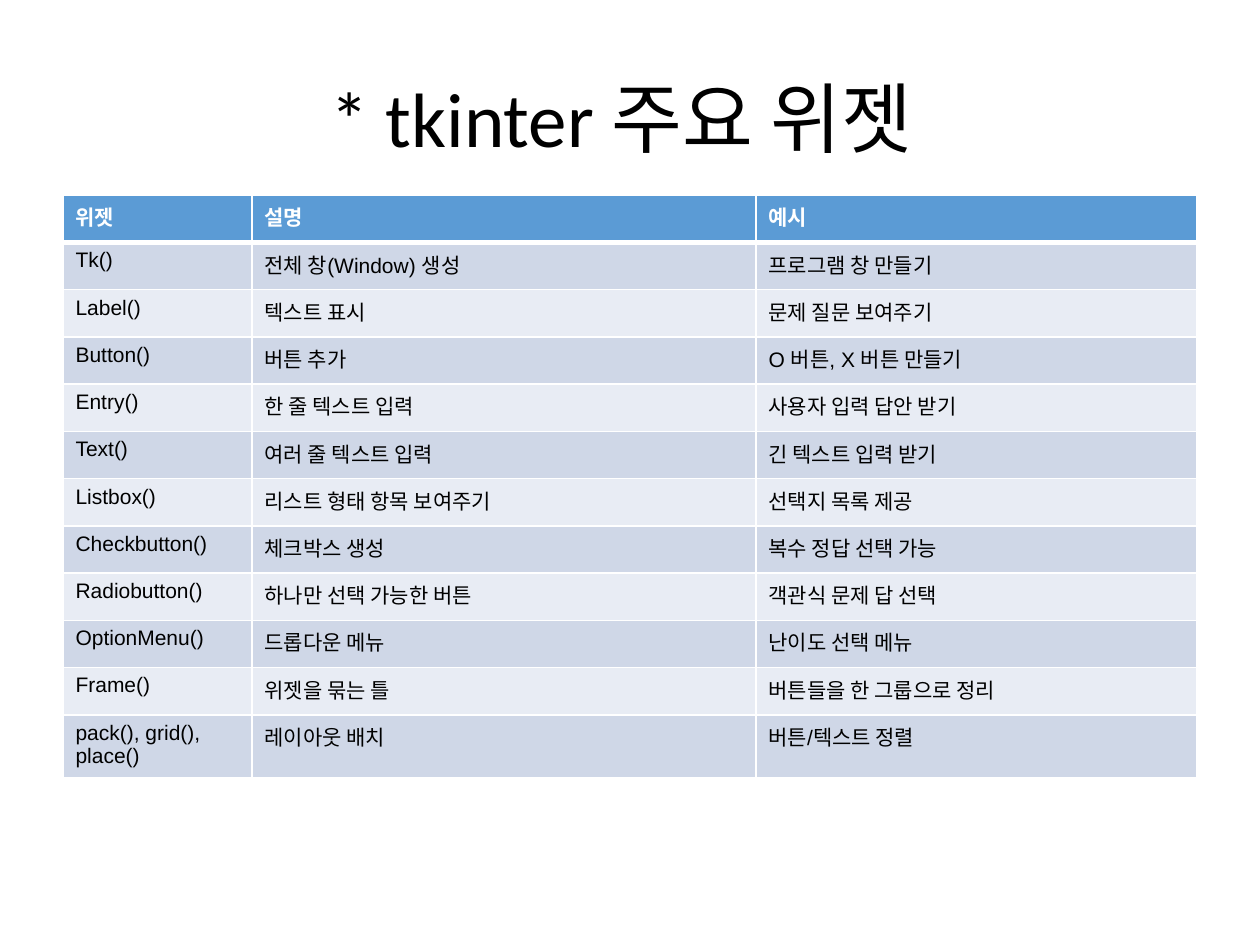
from lxml.etree import SubElement
from pptx import Presentation
from pptx.dml.color import RGBColor
from pptx.enum.text import MSO_ANCHOR as Anchor, PP_ALIGN as Align
from pptx.oxml.ns import qn
from pptx.util import Inches, Pt

COLORS = {"text": "000000", "light": "FFFFFF", "header": "5B9BD5",
          "odd": "CFD7E7", "even": "E8ECF4"}

WIDGETS = [
    ("위젯", "설명", "예시"),
    ("Tk()", "전체 창(Window) 생성", "프로그램 창 만들기"),
    ("Label()", "텍스트 표시", "문제 질문 보여주기"),
    ("Button()", "버튼 추가", "O 버튼, X 버튼 만들기"),
    ("Entry()", "한 줄 텍스트 입력", "사용자 입력 답안 받기"),
    ("Text()", "여러 줄 텍스트 입력", "긴 텍스트 입력 받기"),
    ("Listbox()", "리스트 형태 항목 보여주기", "선택지 목록 제공"),
    ("Checkbutton()", "체크박스 생성", "복수 정답 선택 가능"),
    ("Radiobutton()", "하나만 선택 가능한 버튼", "객관식 문제 답 선택"),
    ("OptionMenu()", "드롭다운 메뉴", "난이도 선택 메뉴"),
    ("Frame()", "위젯을 묶는 틀", "버튼들을 한 그룹으로 정리"),
    ("pack(), grid(), place()", "레이아웃 배치", "버튼/텍스트 정렬"),
]


class SlideBuilder:
    """Holds the style and the current slide, and adds each kind of element."""

    def __init__(self, slide, colors):
        self.slide = slide
        self.colors = colors

    def color(self, key):
        return RGBColor.from_string(self.colors[key])

    def run(self, paragraph, text, font, size, color="text", bold=False):
        run = paragraph.add_run()
        run.text = text
        run.font.name = font
        run.font.size = Pt(size)
        run.font.bold = bold
        run.font.color.rgb = self.color(color)

    def title(self, text, left, top, width, height):
        frame = self.slide.shapes.add_textbox(left, top, width, height).text_frame
        frame.word_wrap = True
        frame.vertical_anchor = Anchor.MIDDLE
        heading = frame.paragraphs[0]
        heading.alignment = Align.CENTER
        self.run(heading, text, "Calibri", 44)

    def borders(self, cell, top, bottom):
        properties = cell._tc.get_or_add_tcPr()
        for side, points in (("L", 1), ("R", 1), ("T", top), ("B", bottom)):
            line = SubElement(properties, qn(f"a:ln{side}"), w=str(Pt(points)))
            fill = SubElement(line, qn("a:solidFill"))
            SubElement(fill, qn("a:srgbClr"), val=self.colors["light"])

    def table(self, rows, left, top, widths, height):
        table = self.slide.shapes.add_table(
            len(rows), len(widths), left, top, sum(widths), height).table
        for column, width in zip(table.columns, widths):
            column.width = width
        for index, row in enumerate(rows):
            header = index == 0
            band = "header" if header else "odd" if index % 2 else "even"
            for cell, text in zip(table.rows[index].cells, row):
                self.borders(cell, 3 if index == 1 else 1, 3 if header else 1)
                cell.fill.solid()
                cell.fill.fore_color.rgb = self.color(band)
                self.run(cell.text_frame.paragraphs[0], text, "Arial", 12,
                         "light" if header else "text", header)


def main():
    deck = Presentation()
    deck.slide_width, deck.slide_height = Inches(10), Inches(7.5)
    builder = SlideBuilder(deck.slides.add_slide(deck.slide_layouts[6]), COLORS)
    builder.title("* tkinter 주요 위젯 ", Inches(0.5), Inches(0.3), Inches(9), Inches(1.25))
    builder.table(WIDGETS, Inches(0.5), Inches(1.55),
                  [Inches(1.5), Inches(4), Inches(3.5)], Inches(4.5))
    deck.save("out.pptx")


if __name__ == "__main__":
    main()
